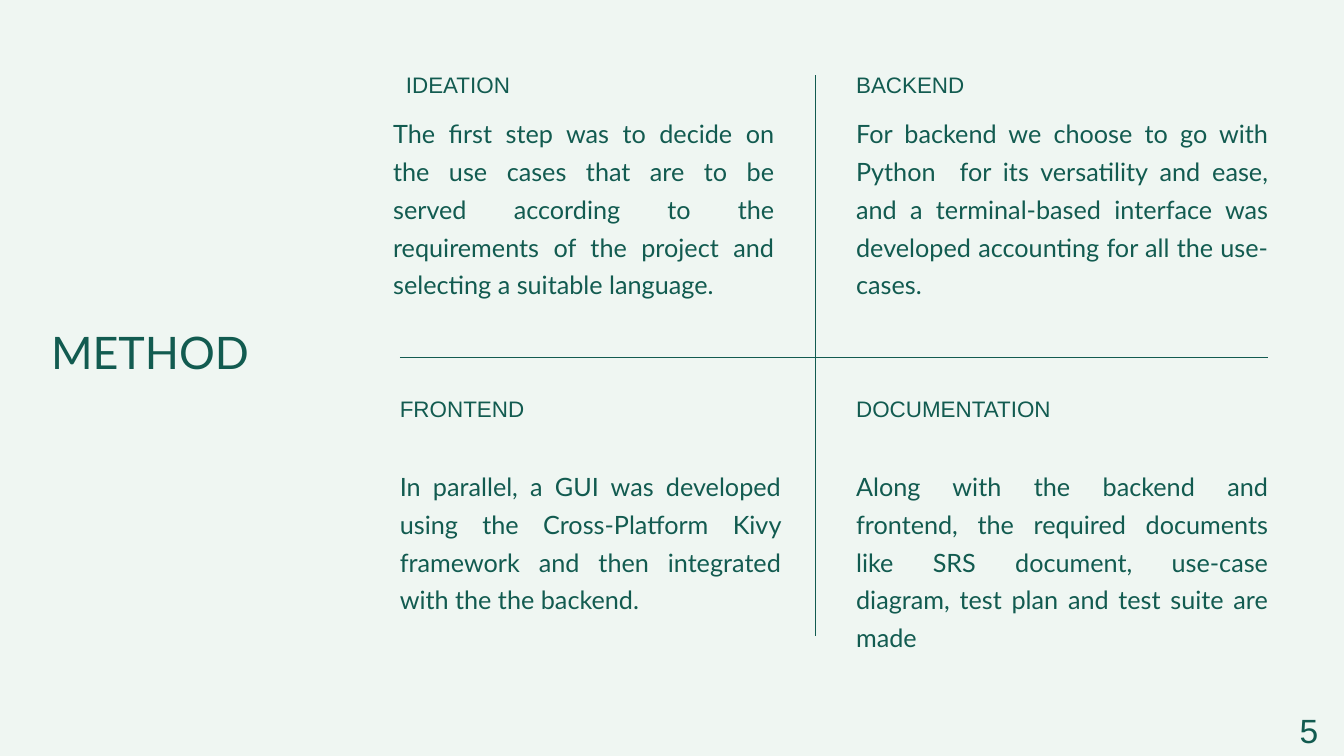
from dataclasses import dataclass

from lxml import etree
from pptx import Presentation
from pptx.dml.color import RGBColor
from pptx.enum.shapes import MSO_CONNECTOR
from pptx.enum.text import MSO_ANCHOR, MSO_AUTO_SIZE, PP_ALIGN
from pptx.oxml.ns import qn
from pptx.util import Inches, Pt

LEFT, RIGHT, JUSTIFY = PP_ALIGN.LEFT, PP_ALIGN.RIGHT, PP_ALIGN.JUSTIFY
TOP, NO_AUTOFIT = MSO_ANCHOR.TOP, MSO_AUTO_SIZE.NONE
STRAIGHT = MSO_CONNECTOR.STRAIGHT

GREEN, MINT = "125B50", "EFF6F2"
COLUMN_LEFTS = (5.95, 12.74)
COLUMN_WIDTHS = (5.67, 6.13)
HEADING_TOPS = (0.99, 5.81)
BODY_TOPS = (1.65, 6.9)
HEADING_WIDTH, HEADING_HEIGHT, BODY_HEIGHT = 4.16, 0.53, 2.81


@dataclass(frozen=True)
class TextStyle:
    font: str
    size: float
    leading: float
    align: PP_ALIGN = LEFT


@dataclass(frozen=True)
class Step:
    column: int
    row: int
    heading: str
    body: str
    heading_shift: float = 0
    body_shift: float = 0


TITLE = TextStyle("Lato", 48, 67.2)
HEADING = TextStyle("Arial", 24, 33.6)
BODY = TextStyle("Lato", 27, 40.5, JUSTIFY)
PAGE_NUMBER = TextStyle("Arial", 36, 50.4, RIGHT)

STEPS = (
    Step(0, 0, "IDEATION",
         "The first step was to decide on the use cases that are to be served "
         "according to the requirements of the project and selecting a "
         "suitable language.", heading_shift=0.09, body_shift=-0.1),
    Step(1, 0, "BACKEND",
         "For backend we choose to go with Python  for its versatility and "
         "ease, and a terminal-based interface was developed accounting for "
         "all the use-cases."),
    Step(0, 1, "FRONTEND",
         "In parallel, a GUI was developed using the Cross-Platform Kivy "
         "framework and then integrated with the the backend."),
    Step(1, 1, "DOCUMENTATION",
         "Along with the backend and frontend, the required documents like "
         "SRS document, use-case diagram, test plan and test suite are made"),
)


def color(hex_code: str) -> RGBColor:
    return RGBColor.from_string(hex_code)


def write(shape, text: str, style: TextStyle) -> None:
    frame = shape.text_frame
    frame.word_wrap = True
    frame.auto_size = NO_AUTOFIT
    frame.vertical_anchor = TOP
    frame.margin_left = frame.margin_right = 0
    frame.margin_top = frame.margin_bottom = 0
    paragraph = frame.paragraphs[0]
    paragraph.alignment = style.align
    paragraph.line_spacing = Pt(style.leading)
    paragraph.space_before = Pt(0)
    run = paragraph.add_run()
    run.text = text
    run.font.name = style.font
    run.font.size = Pt(style.size)
    run.font.color.rgb = color(GREEN)


def add_text(slide, left: float, top: float, width: float, height: float,
             text: str, style: TextStyle) -> None:
    box = slide.shapes.add_textbox(*map(Inches, (left, top, width, height)))
    write(box, text, style)


def add_step(slide, step: Step) -> None:
    left = COLUMN_LEFTS[step.column]
    add_text(slide, left + step.heading_shift, HEADING_TOPS[step.row],
             HEADING_WIDTH, HEADING_HEIGHT, step.heading, HEADING)
    add_text(slide, left + step.body_shift, BODY_TOPS[step.row],
             COLUMN_WIDTHS[step.column], BODY_HEIGHT, step.body, BODY)


def add_divider(slide, x1: float, y1: float, x2: float, y2: float) -> None:
    divider = slide.shapes.add_connector(
        STRAIGHT, *map(Inches, (x1, y1, x2, y2)))
    divider.line.color.rgb = color(GREEN)
    divider.line.width = Pt(0.75)
    etree.SubElement(divider._element.spPr, qn("a:effectLst"))


def main() -> None:
    deck = Presentation()
    deck.slide_width, deck.slide_height = Inches(20), Inches(11.25)
    slide = deck.slides.add_slide(deck.slide_layouts.get_by_name("Title Only"))
    slide.background.fill.solid()
    slide.background.fill.fore_color.rgb = color(MINT)

    title = slide.shapes.title
    title.left, title.top = Inches(0.76), Inches(4.7)
    title.width, title.height = Inches(4.06), Inches(1.03)
    write(title, "METHOD", TITLE)

    for step in STEPS:
        add_step(slide, step)
    add_divider(slide, COLUMN_LEFTS[0], 5.32,
                COLUMN_LEFTS[1] + COLUMN_WIDTHS[1], 5.32)
    add_divider(slide, 12.13, 1.12, 12.13, 9.46)
    add_text(slide, 16.16, 10.46, 3.46, 0.8, "5", PAGE_NUMBER)

    deck.save("out.pptx")


if __name__ == "__main__":
    main()
